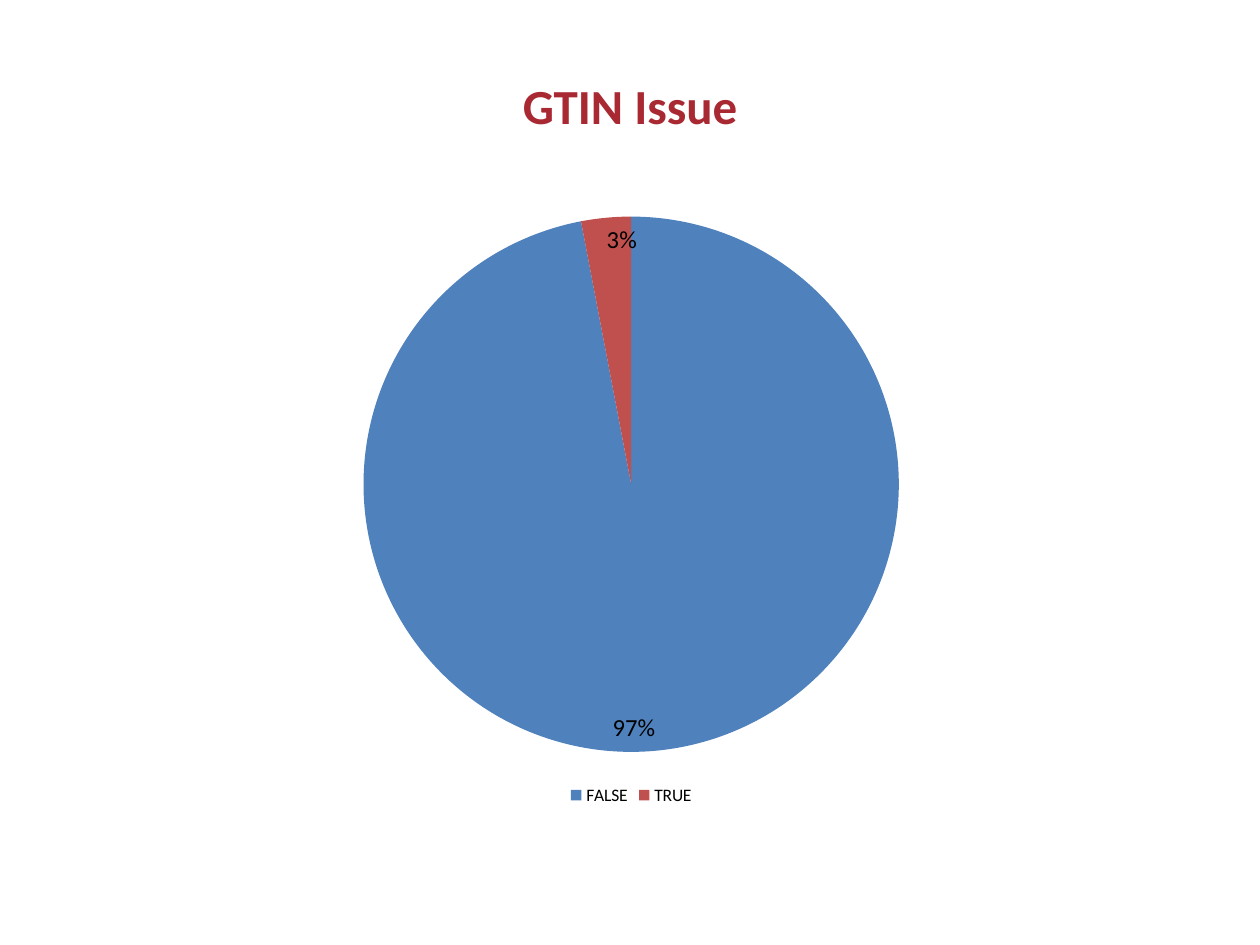
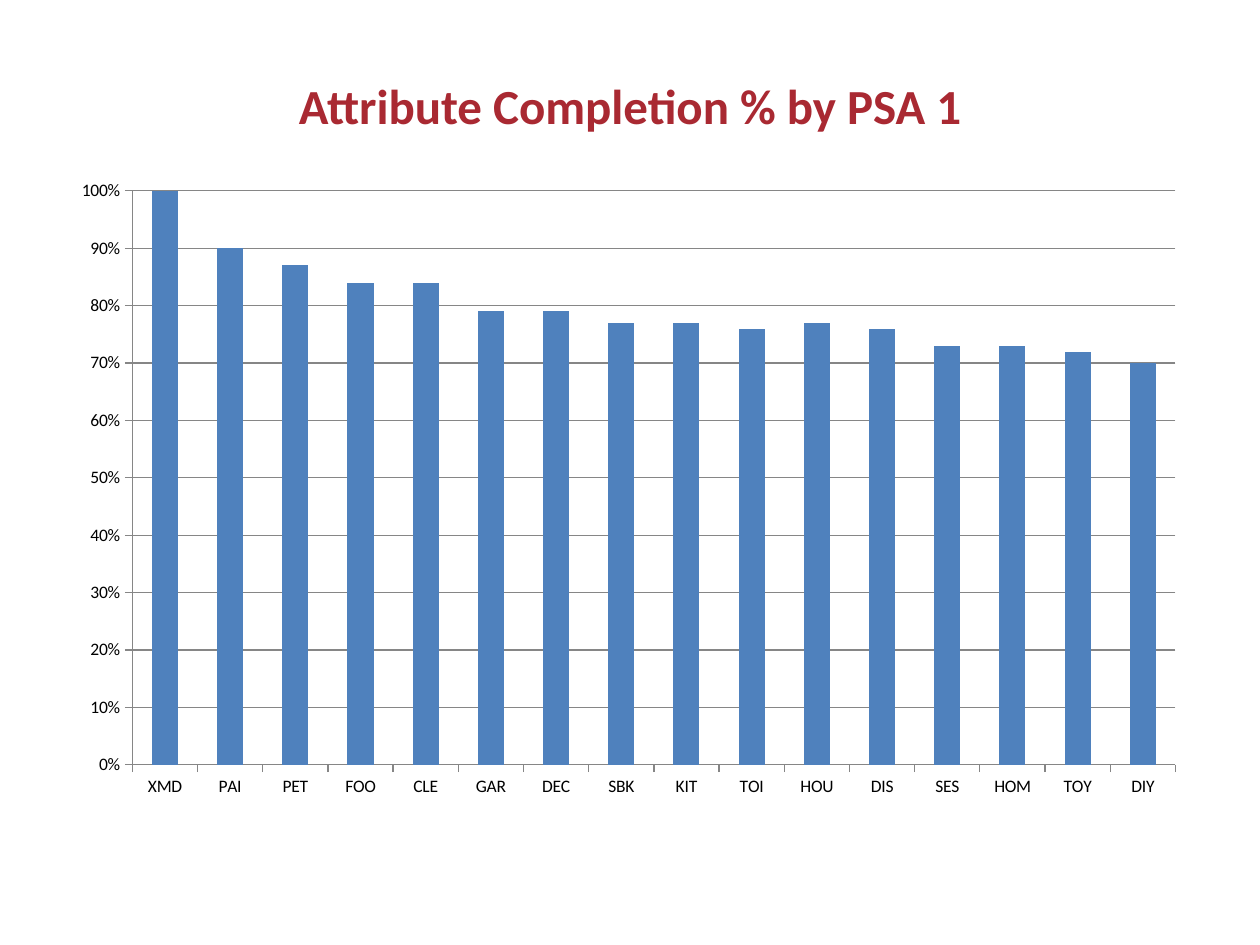
import pptx
import pptx.util
import pptx.dml.color
import pptx.chart.data
import pptx.enum.chart
import pptx.enum.text
import pptx.oxml
import pptx.oxml.ns
from dataclasses import dataclass

Pt = pptx.util.Pt
RGB = pptx.dml.color.RGBColor.from_string
CH = pptx.enum.chart


@dataclass(frozen=True)
class Theme:
    font: str = "Calibri"
    title: str = "A92932"
    text: str = "000000"
    blue: str = "4F81BD"
    red: str = "C0504D"
    rule: str = "868686"
    title_size: int = 28
    chart_size: int = 10
    label_size: int = 14


THEME = Theme()
TITLE_BOX = (36, 31.7, 648, 56.9)
CHART_BOX = (36.7, 94.3, 648, 368.6)


def set_attrs(obj, **values):
    for name, value in values.items():
        setattr(obj, name, value)


def style_font(font, size, color, bold=False):
    set_attrs(font, name=THEME.font, size=Pt(size), bold=bold)
    font.color.rgb = RGB(color)


def fill(fmt, color):
    fmt.fill.solid()
    fmt.fill.fore_color.rgb = RGB(color)


def rule(line):
    line.width = Pt(0.75)
    line.color.rgb = RGB(THEME.rule)


def add_titled_slide(prs, text):
    s = prs.slides.add_slide(prs.slide_layouts[5])
    sp = s.shapes.title
    set_attrs(sp, **dict(zip(("left", "top", "width", "height"), map(Pt, TITLE_BOX))))
    tf = sp.text_frame
    set_attrs(tf, word_wrap=True, vertical_anchor=pptx.enum.text.MSO_ANCHOR.MIDDLE)
    p = tf.paragraphs[0]
    p.alignment = pptx.enum.text.PP_ALIGN.CENTER
    r = p.add_run()
    r.text = text
    style_font(r.font, THEME.title_size, THEME.title, True)
    return s


def place_plot(chart, **box):
    ns = pptx.oxml.ns
    area = chart.element.find(".//" + ns.qn("c:plotArea"))
    for old in area.findall(ns.qn("c:layout")):
        area.remove(old)
    sizes = "".join(f'<c:{k} val="{v}"/>' for k, v in box.items())
    area.insert(0, pptx.oxml.parse_xml(
        f'<c:layout {ns.nsdecls("c")}><c:manualLayout><c:layoutTarget val="inner"/>'
        f'<c:xMode val="edge"/><c:yMode val="edge"/>{sizes}</c:manualLayout></c:layout>'))


def add_chart(s, kind, categories, values, **plot_box):
    data = pptx.chart.data.CategoryChartData(number_format="0%")
    data.categories = categories
    data.add_series("Series 1", values)
    chart = s.shapes.add_chart(kind, *map(Pt, CHART_BOX), data).chart
    set_attrs(chart, has_title=False, has_legend=False)
    style_font(chart.font, THEME.chart_size, THEME.text)
    place_plot(chart, **plot_box)
    return chart


def add_pie(s, categories, values, colors):
    chart = add_chart(s, CH.XL_CHART_TYPE.PIE, categories, values,
                      x=0.26, y=0.08, w=0.48, h=0.83)
    chart.has_legend = True
    set_attrs(chart.legend, position=CH.XL_LEGEND_POSITION.BOTTOM, include_in_layout=False)
    plot = chart.plots[0]
    for i, color in enumerate(colors):
        fill(plot.series[0].points[i].format, color)
    labels = plot.series[0].data_labels
    set_attrs(labels, show_value=True, show_percentage=False, number_format="0%",
              number_format_is_linked=False, position=CH.XL_LABEL_POSITION.INSIDE_END)
    style_font(labels.font, THEME.label_size, THEME.text)


def add_columns(s, categories, values):
    chart = add_chart(s, CH.XL_CHART_TYPE.COLUMN_CLUSTERED, categories, values,
                      x=0.06, y=0.04, w=0.92, h=0.89)
    plot = chart.plots[0]
    set_attrs(plot, gap_width=150, vary_by_categories=False)
    fill(plot.series[0].format, THEME.blue)
    axis = chart.value_axis
    set_attrs(axis, minimum_scale=0, maximum_scale=1, major_unit=0.1, has_major_gridlines=True)
    set_attrs(axis.tick_labels, number_format="0%", number_format_is_linked=False)
    rule(axis.major_gridlines.format.line)
    for ax in (axis, chart.category_axis):
        ax.major_tick_mark = CH.XL_TICK_MARK.OUTSIDE
        rule(ax.format.line)


def main():
    prs = pptx.Presentation()
    set_attrs(prs, slide_width=Pt(720), slide_height=Pt(540))

    s = add_titled_slide(prs, "GTIN Issue")
    add_pie(s, ["FALSE", "TRUE"], [0.97, 0.03], [THEME.blue, THEME.red])

    s = add_titled_slide(prs, "Attribute Completion % by PSA 1")
    completion = {
        "XMD": 1, "PAI": 0.9, "PET": 0.87, "FOO": 0.84,
        "CLE": 0.84, "GAR": 0.79, "DEC": 0.79, "SBK": 0.77,
        "KIT": 0.77, "TOI": 0.76, "HOU": 0.77, "DIS": 0.76,
        "SES": 0.73, "HOM": 0.73, "TOY": 0.72, "DIY": 0.7,
    }
    add_columns(s, list(completion), list(completion.values()))

    prs.save("out.pptx")


main()
